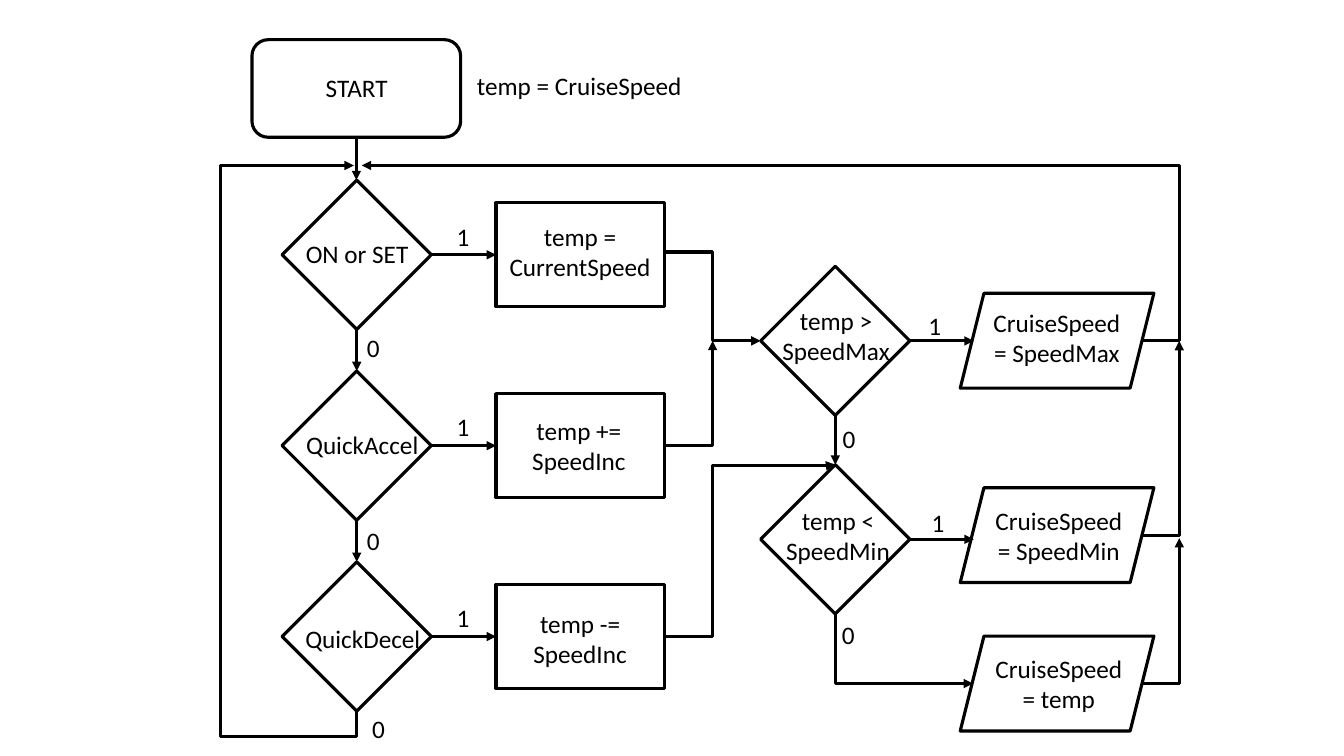
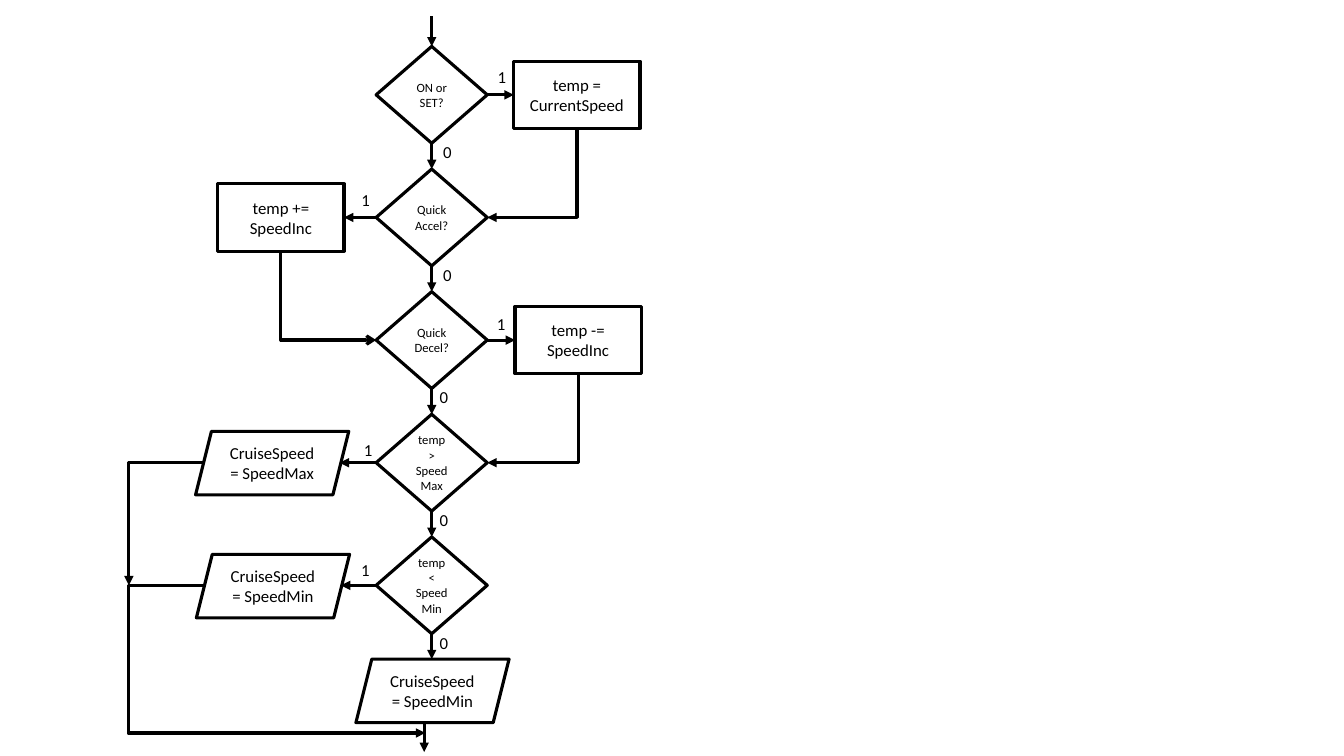
from dataclasses import dataclass

from lxml.etree import SubElement
from pptx import Presentation
from pptx.dml.color import RGBColor
from pptx.enum.shapes import MSO_CONNECTOR as Link, MSO_SHAPE as Form
from pptx.enum.text import MSO_ANCHOR as Anchor, MSO_AUTO_SIZE as AutoSize, PP_ALIGN as Align
from pptx.oxml.ns import qn
from pptx.shapes.shapetree import _BaseGroupShapes as Canvas
from pptx.text.text import TextFrame
from pptx.util import Cm, Pt

INK = "000000"
FONT = "Calibri"
LINE_WIDTH = 2.25


@dataclass(frozen=True)
class Node:
    form: Form
    left: float
    top: float
    width: float
    height: float
    text: str = ""
    size: float = 12

    @property
    def center(self) -> float:
        return self.left + self.width / 2

    @property
    def middle(self) -> float:
        return self.top + self.height / 2

    @property
    def right(self) -> float:
        return self.left + self.width

    @property
    def bottom(self) -> float:
        return self.top + self.height


@dataclass(frozen=True)
class Caption:
    text: str
    left: float
    top: float
    width: float
    height: float
    size: float
    wrap: bool = False


@dataclass(frozen=True)
class Arrow:
    x1: float
    y1: float
    x2: float
    y2: float
    head: str = "triangle"


@dataclass(frozen=True)
class Elbow(Arrow):
    legs: int = 2
    bends: tuple[float, ...] = ()
    starts_vertical: bool = False


def color(value: str) -> RGBColor:
    return RGBColor.from_string(value)


def write(frame: TextFrame, text: str, size: float) -> None:
    para = frame.paragraphs[0]
    para.text = text
    para.alignment = Align.CENTER
    para.font.name = FONT
    para.font.size = Pt(size)
    para.font.color.rgb = color(INK)


def draw_node(canvas: Canvas, node: Node) -> None:
    shape = canvas.add_shape(
        node.form, Cm(node.left), Cm(node.top), Cm(node.width), Cm(node.height)
    )
    shape.shadow.inherit = False
    shape.fill.background()
    shape.line.color.rgb = color(INK)
    shape.line.width = Pt(LINE_WIDTH)
    if node.text:
        shape.text_frame.word_wrap = True
        shape.text_frame.vertical_anchor = Anchor.MIDDLE
        write(shape.text_frame, node.text, node.size)


def draw_caption(canvas: Canvas, caption: Caption) -> None:
    box = canvas.add_textbox(
        Cm(caption.left), Cm(caption.top), Cm(caption.width), Cm(caption.height)
    )
    box.text_frame.word_wrap = caption.wrap
    box.text_frame.auto_size = AutoSize.SHAPE_TO_FIT_TEXT
    write(box.text_frame, caption.text, caption.size)


def unrotated_ends(elbow: Elbow) -> tuple[float, float, float, float]:
    center, middle = (elbow.x1 + elbow.x2) / 2, (elbow.y1 + elbow.y2) / 2
    reach, rise = (elbow.y2 - elbow.y1) / 2, abs(elbow.x2 - elbow.x1) / 2
    if elbow.x2 > elbow.x1:
        reach = -reach
    return center - reach, middle - rise, center + reach, middle + rise


def draw_arrow(canvas: Canvas, arrow: Arrow) -> None:
    bent = isinstance(arrow, Elbow)
    turned = bent and arrow.starts_vertical
    ends = unrotated_ends(arrow) if turned else (arrow.x1, arrow.y1, arrow.x2, arrow.y2)
    connector = canvas.add_connector(
        Link.ELBOW if bent else Link.STRAIGHT, *(Cm(end) for end in ends)
    )
    connector.line.color.rgb = color(INK)
    connector.line.width = Pt(LINE_WIDTH)
    properties = connector._element.spPr
    SubElement(properties.find(qn("a:ln")), qn("a:tailEnd"), type=arrow.head)
    SubElement(properties, qn("a:effectLst"))
    if bent:
        geometry = properties.find(qn("a:prstGeom"))
        geometry.set("prst", f"bentConnector{arrow.legs}")
        guides = geometry.find(qn("a:avLst"))
        for number, bend in enumerate(arrow.bends, 1):
            SubElement(
                guides, qn("a:gd"), name=f"adj{number}", fmla=f"val {round(bend * 100000)}"
            )
    if turned:
        degrees = 270 if arrow.x2 > arrow.x1 else 90
        properties.find(qn("a:xfrm")).set("rot", str(degrees * 60000))


def draw_chart(
    canvas: Canvas, nodes: list[Node], arrows: list[Arrow], captions: list[Caption]
) -> None:
    for node in nodes:
        draw_node(canvas, node)
    for arrow in arrows:
        draw_arrow(canvas, arrow)
    for caption in captions:
        draw_caption(canvas, caption)


def down(upper: Node, lower: Node) -> Arrow:
    return Arrow(upper.center, upper.bottom, upper.center, lower.top)


def wide_chart(canvas: Canvas) -> None:
    step, side, size = 4.81, 3.76, 18
    start = Node(Form.ROUNDED_RECTANGLE, 6.35, 1, 5.26, 2.46)
    buttons = [Node(Form.DIAMOND, 7.11, 4.54 + step * row, side, side) for row in range(3)]
    updates = [Node(Form.RECTANGLE, 12.5, 5.11 + step * row, 4.24, 2.62) for row in range(3)]
    limits = [Node(Form.DIAMOND, 19.17, top, side, side) for top in (6.71, 11.71)]
    results = [Node(Form.PARALLELOGRAM, 24.2, top, 4.88, 2.39) for top in (7.39, 12.29, 16.03)]
    above, below = limits
    edge, merge, rail, loop = 28.78, 17.96, 29.72, 4.17
    column = [start, *buttons]
    arrows = [down(upper, lower) for upper, lower in zip(column, buttons)]
    arrows += [
        Arrow(button.right, button.middle, update.left, button.middle)
        for button, update in zip(buttons, updates)
    ]
    arrows += [Arrow(limit.right, limit.middle, 24.54, limit.middle) for limit in limits]
    last = buttons[-1]
    out = updates[0].right
    arrows += [
        down(above, below),
        Elbow(last.center, last.bottom, 8.92, loop,
              legs=5, bends=(-0.046, 49, 1), starts_vertical=True),
        Elbow(out, 6.35, above.left, above.middle, legs=3, bends=(0.5,)),
        Elbow(out, buttons[1].middle, merge, above.middle),
        Elbow(out, last.middle, below.center, below.top, legs=4, bends=(0.282, 0.994)),
        Elbow(below.center, below.bottom, 24.52, results[2].middle, starts_vertical=True),
        Elbow(edge, above.middle, 9.12, loop, legs=3, bends=(-0.048,)),
        Elbow(edge, results[1].middle, rail, above.middle),
        Elbow(edge, results[2].middle, rail, 13.56),
    ]
    single_lines = [
        ("START", 7.95, 1.7, 2.08),
        ("temp = CruiseSpeed", 11.73, 1.65, 5.74),
        ("ON or SET", 7.44, 5.89, 3.12),
        ("QuickAccel", 7.44, 10.69, 3.38),
        ("QuickDecel", 7.42, 15.57, 3.45),
    ]
    double_lines = [
        ("temp = CurrentSpeed", 12.5, 5.44, 4.24),
        ("temp += SpeedInc", 12.47, 10.34, 4.24),
        ("temp -= SpeedInc", 12.5, 15.21, 4.24),
        ("temp > SpeedMax", 19.38, 7.57, 3.38),
        ("temp < SpeedMin", 19.43, 12.6, 3.38),
        ("CruiseSpeed = SpeedMax", 24.69, 7.62, 3.89),
        ("CruiseSpeed = SpeedMin", 24.74, 12.6, 3.89),
        ("CruiseSpeed = temp", 24.74, 16.33, 3.89),
    ]
    ones = [(11.25, 5.44 + step * row) for row in range(3)] + [(23.14, 7.7), (23.22, 12.65)]
    zeros = [(8.99, 8.26), (8.99, 13.11), (9.12, 17.86), (20.98, 10.54), (20.96, 15.49)]
    captions = [Caption(*line, 1.02, size) for line in single_lines]
    captions += [Caption(*line, 1.8, size, wrap=True) for line in double_lines]
    captions += [
        Caption(digit, left, top, 0.84, 1.02, size)
        for digit, places in (("1", ones), ("0", zeros))
        for left, top in places
    ]
    draw_chart(canvas, [start, *buttons, *updates, *limits, *results], arrows, captions)


def tall_chart(canvas: Canvas) -> None:
    step = 3.09
    questions = ["ON or SET?", "QuickAccel?", "QuickDecel?", "temp > SpeedMax", "temp < SpeedMin"]
    tests = [
        Node(Form.DIAMOND, 9.48, 1.17 + step * row, 2.8, 2.44, question, 9)
        for row, question in enumerate(questions)
    ]
    actions = [
        Node(Form.RECTANGLE, left, test.middle - 0.85, 3.18, 1.7, text)
        for test, left, text in zip(
            tests,
            (12.95, 5.49, 12.98),
            ("temp = CurrentSpeed", "temp += SpeedInc", "temp -= SpeedInc"),
        )
    ]
    results = [
        Node(Form.PARALLELOGRAM, left, top, 3.86, 1.6, f"CruiseSpeed = {limit}")
        for left, top, limit in (
            (4.93, 10.87, "SpeedMax"), (4.95, 13.97, "SpeedMin"), (8.97, 16.61, "SpeedMin")
        )
    ]
    current, faster, slower = actions
    accel, decel, above, below = tests[1:]
    rail, slanted_edge = 3.25, 5.13
    arrows = [Arrow(tests[0].center, 0.41, tests[0].center, tests[0].top)]
    arrows += [down(upper, lower) for upper, lower in zip(tests, [*tests[1:], results[2]])]
    targets = (current.left, faster.right, slower.left, 8.56, 8.59)
    arrows += [
        Arrow(test.right if target > test.right else test.left, test.middle, target, test.middle)
        for test, target in zip(tests, targets)
    ]
    arrows += [
        Elbow(current.center, current.bottom, accel.right, accel.middle, starts_vertical=True),
        Elbow(faster.center, faster.bottom, decel.left, decel.middle,
              head="arrow", starts_vertical=True),
        Elbow(slower.center, slower.bottom, above.right, above.middle, starts_vertical=True),
        Elbow(slanted_edge, above.middle, rail, below.middle),
        Elbow(slanted_edge, below.middle, 10.72, 18.47, legs=3, bends=(-0.34,)),
        Arrow(10.69, results[2].bottom, 10.69, 18.95),
    ]
    ones = [(12.29, 1.55), (8.86, 4.65), (12.27, 7.77), (8.92, 10.95), (8.84, 13.97)]
    zeros = [(10.92 if row < 2 else 10.82, 3.45 + step * row) for row in range(5)]
    captions = [
        Caption(digit, left, top, 0.56 if row < narrow else 0.74, 0.76, 12, wrap=row < narrow)
        for digit, places, narrow in (("1", ones, 4), ("0", zeros, 2))
        for row, (left, top) in enumerate(places)
    ]
    draw_chart(canvas, [*tests, *actions, *results], arrows, captions)


deck = Presentation()
deck.slide_width, deck.slide_height = Cm(33.87), Cm(19.05)
blank = deck.slide_layouts.get_by_name("Blank")
wide_chart(deck.slides.add_slide(blank).shapes)
tall_chart(deck.slides.add_slide(blank).shapes.add_group_shape().shapes)
deck.save("out.pptx")
